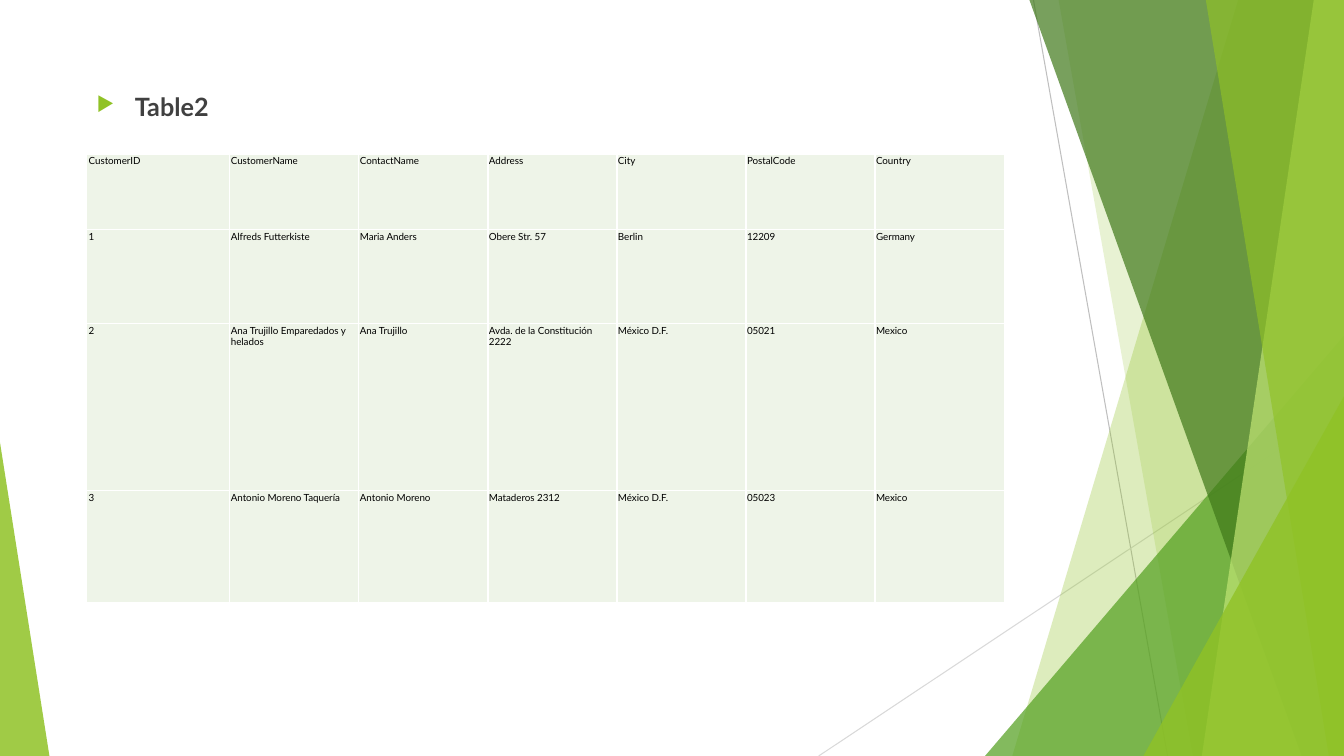
from lxml import etree
from pptx import Presentation
from pptx.dml.color import RGBColor
from pptx.enum.shapes import MSO_CONNECTOR, MSO_SHAPE
from pptx.oxml.ns import qn
from pptx.util import Inches, Pt

LINE = MSO_CONNECTOR.STRAIGHT
TRIANGLE = MSO_SHAPE.ISOSCELES_TRIANGLE
FONT = "Lato"
LIME = "90C226"
WIDE, HIGH = 13.33, 7.5

ROWS = [
    ["CustomerID", "CustomerName", "ContactName", "Address", "City",
     "PostalCode", "Country"],
    ["1", "Alfreds Futterkiste", "Maria Anders", "Obere Str. 57", "Berlin",
     "12209", "Germany"],
    ["2", "Ana Trujillo Emparedados y helados", "Ana Trujillo",
     "Avda. de la Constitución 2222", "México D.F.", "05021", "Mexico"],
    ["3", "Antonio Moreno Taquería", "Antonio Moreno", "Mataderos 2312",
     "México D.F.", "05023", "Mexico"],
]
WIDTHS = [1.42] + [1.28] * 6
HEIGHTS = [0.75, 0.93, 1.66, 1.11]


def style(item, values):
    for name, value in values.items():
        setattr(item, name, value)


def add(parent, tag, **attrs):
    return etree.SubElement(parent, qn(tag), attrs)


def paint(fill, color, alpha=100):
    fill.solid()
    fill.fore_color.rgb = RGBColor.from_string(color)
    if alpha < 100:
        for node in fill._xPr.iter(qn("a:srgbClr")):
            add(node, "a:alpha", val=str(alpha * 1000))


def finish(shape, color, alpha):
    shape.shadow.inherit = False
    shape.line.fill.background()
    paint(shape.fill, color, alpha)


def add_line(slide, start, end, color):
    line = slide.shapes.add_connector(LINE, *map(Inches, start + end))
    paint(line.line.fill, color)
    line.line.width = Pt(0.75)
    add(line._element.spPr, "a:effectLst")


def add_band(slide, top, bottom, color, alpha):
    points = [(top[0], 0), (top[1], 0), (bottom[1], HIGH), (bottom[0], HIGH)]
    points = [(Inches(x), Inches(y)) for x, y in points]
    pen = slide.shapes.build_freeform(*points[0], scale=1.0)
    pen.add_line_segments(points[1:], close=True)
    finish(pen.convert_to_shape(), color, alpha)


def add_corner(slide, left, top, width, apex, color, alpha):
    box = map(Inches, (left, top, width, HIGH - top))
    shape = slide.shapes.add_shape(TRIANGLE, *box)
    shape.adjustments[0] = apex
    finish(shape, color, alpha)


def add_text(para, text, size, color, bold=False):
    run = para.add_run()
    run.text = text
    style(run.font, {"name": FONT, "size": Pt(size), "bold": bold})
    paint(run.font.fill, color)


def add_title(slide, text):
    box = slide.shapes.add_textbox(*map(Inches, (0.86, 0.86, 9.29, 0.6)))
    box.text_frame.word_wrap = True
    para = box.text_frame.paragraphs[0]
    para.space_before = Pt(10)
    props = para._p.get_or_add_pPr()
    props.set("marL", str(Inches(0.38)))
    props.set("indent", str(Inches(-0.38)))
    add(add(props, "a:buClr"), "a:srgbClr", val=LIME)
    add(props, "a:buSzPct", val="80000")
    add(props, "a:buChar", char="▶")
    add_text(para, text, 18, "404040", True)


def add_borders(cell, color):
    props = cell._tc.get_or_add_tcPr()
    for side in "LRTB":
        edge = add(props, "a:ln" + side, w=str(Pt(1)))
        add(add(edge, "a:solidFill"), "a:srgbClr", val=color)


def add_grid(slide):
    box = map(Inches, (0.86, 1.53, sum(WIDTHS), sum(HEIGHTS)))
    table = slide.shapes.add_table(len(ROWS), len(WIDTHS), *box).table
    style(table, {"first_row": False, "horz_banding": False})
    for col, width in zip(table.columns, WIDTHS):
        col.width = Inches(width)
    for row, height, texts in zip(table.rows, HEIGHTS, ROWS):
        row.height = Inches(height)
        for i, (cell, text) in enumerate(zip(row.cells, texts)):
            style(cell, {
                "margin_left": Inches(0.01 if i else 0.02),
                "margin_top": Inches(0.01),
                "margin_right": Inches(0.01),
                "margin_bottom": Inches(0.01),
            })
            add_borders(cell, "FFFFFF")
            paint(cell.fill, "EEF4E8")
            add_text(cell.text_frame.paragraphs[0], text, 7, "000000")


def add_decor(slide):
    add_line(slide, (10.25, 0), (11.58, HIGH), "BFBFBF")
    add_line(slide, (WIDE, 4.03), (8.12, HIGH), "D9D9D9")
    add_band(slide, (12.28, WIDE), (10.04, WIDE), LIME, 30)
    add_band(slide, (10.5, WIDE), (11.83, WIDE), LIME, 20)
    add_corner(slide, 9.77, 3.33, 3.56, 1, "54A021", 72)
    add_band(slide, (10.21, WIDE), (12.91, WIDE), "3F7819", 70)
    add_band(slide, (13.03, WIDE), (11.92, WIDE), "C0E474", 70)
    add_band(slide, (11.96, WIDE), (13.18, WIDE), LIME, 65)
    add_corner(slide, 11.34, 3.93, 1.99, 1, LIME, 80)
    add_corner(slide, 0, 4.39, 0.49, 0, LIME, 85)


def main():
    deck = Presentation()
    style(deck, {"slide_width": Inches(WIDE), "slide_height": Inches(HIGH)})
    slide = deck.slides.add_slide(deck.slide_layouts[6])
    add_decor(slide)
    add_title(slide, "Table2")
    add_grid(slide)
    deck.save("out.pptx")


main()
